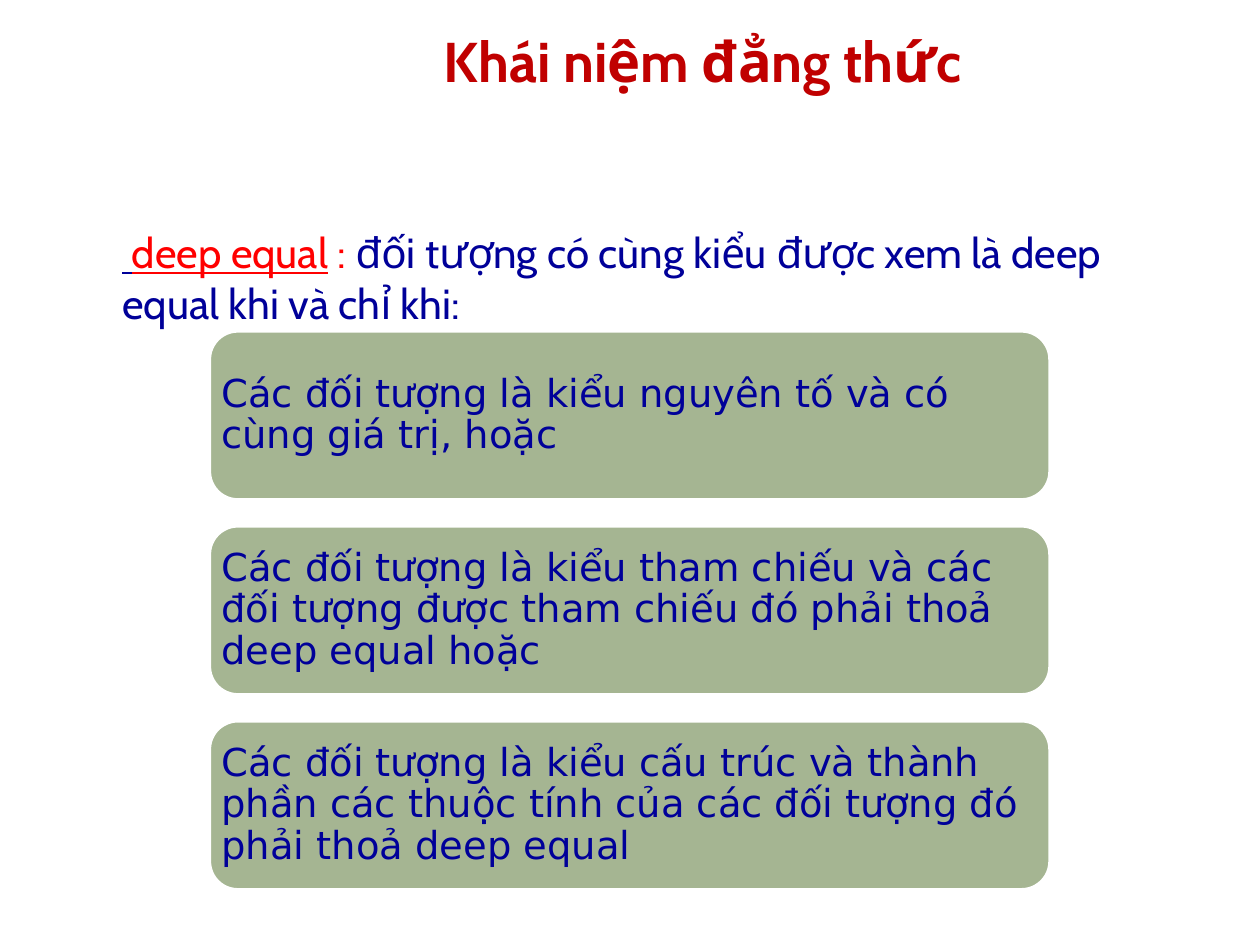
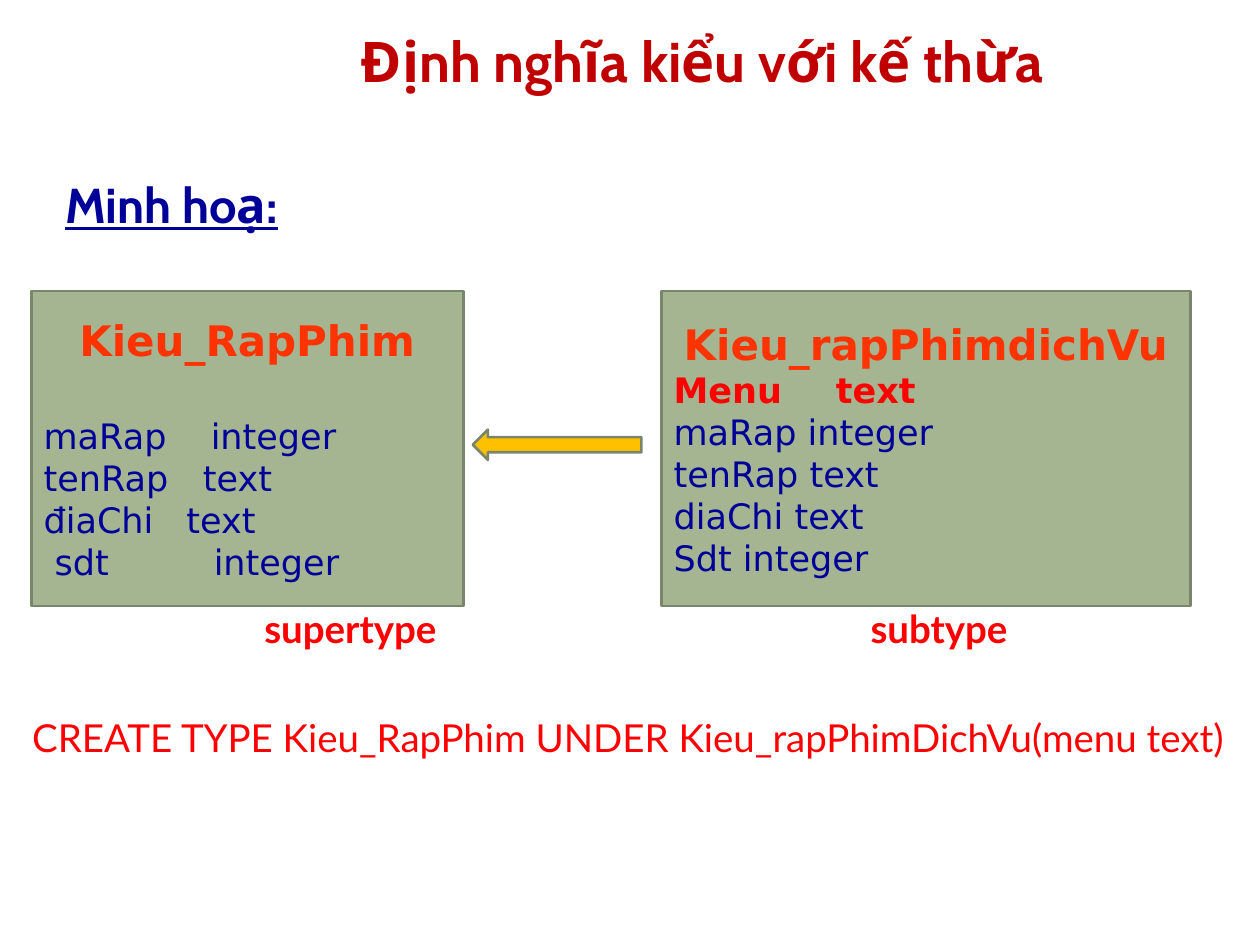
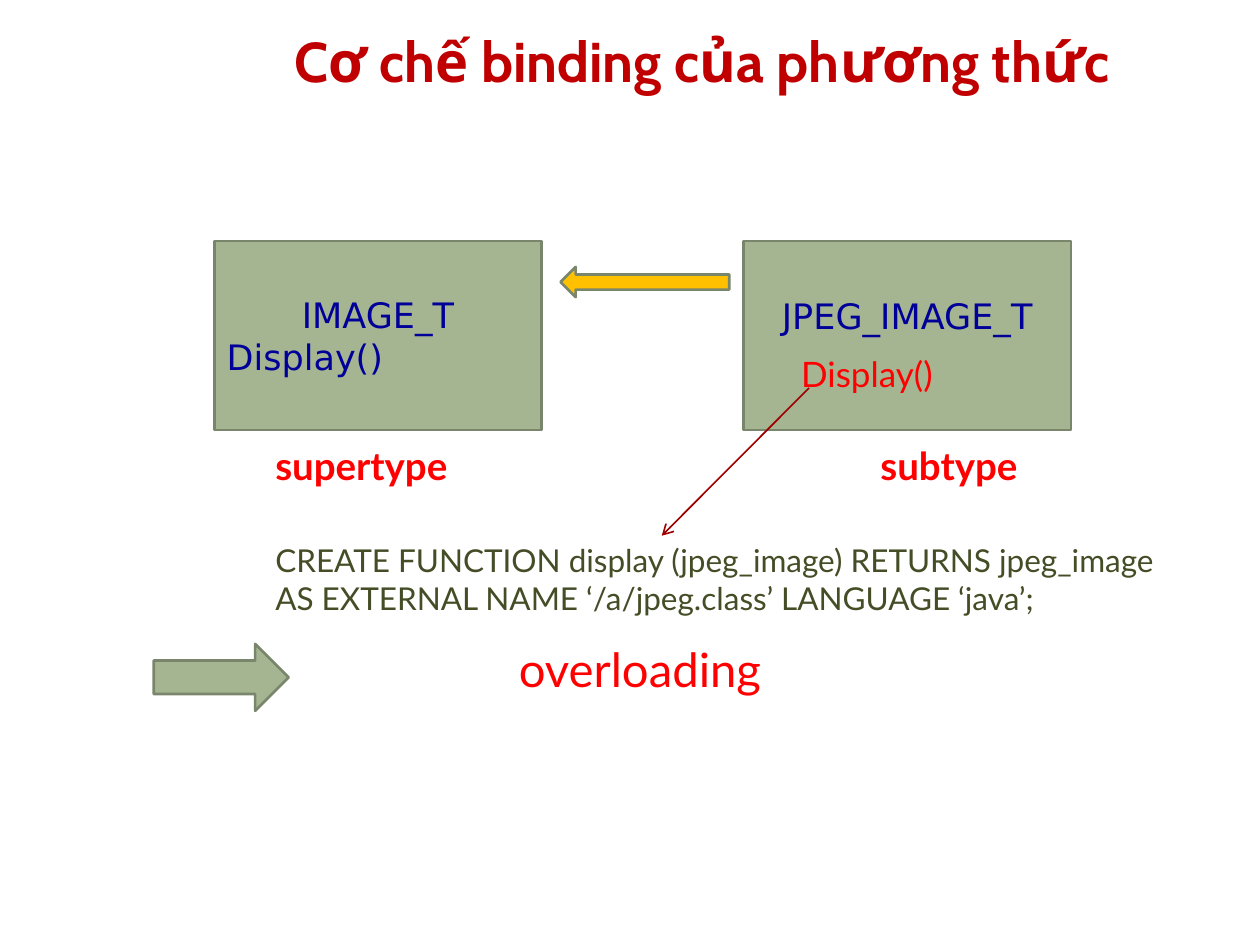
from dataclasses import dataclass

from lxml.etree import SubElement
from pptx import Presentation
from pptx.dml.color import RGBColor
from pptx.enum.shapes import MSO_CONNECTOR, MSO_SHAPE
from pptx.enum.text import MSO_ANCHOR, MSO_AUTO_SIZE, PP_ALIGN
from pptx.oxml.ns import qn
from pptx.util import Cm, Pt


@dataclass(frozen=True)
class Theme:
    heading: str = "Cabin"
    body: str = "DejaVu Sans"
    label: str = "Lato"
    title: str = "C00000"
    navy: str = "000099"
    red: str = "FF0000"
    orange: str = "FF3300"
    olive: str = "444D26"
    white: str = "FFFFFF"
    sage: str = "A5B592"
    sage_edge: str = "7A866C"
    gold: str = "FFC000"
    callout: str = "9E0000"
    title_size: float = 32
    section_size: float = 28
    result_size: float = 27
    large_size: float = 24
    label_size: float = 22
    field_size: float = 20
    code_size: float = 18
    edge_width: float = 1.5
    callout_width: float = 0.94


T = Theme()


def style(name, size, color, bold=False, underline=False):
    return dict(name=name, size=Pt(size), color=color, bold=bold, underline=underline)


TITLE = style(T.heading, T.title_size, T.title, bold=True)
SECTION = style(T.heading, T.section_size, T.navy, bold=True, underline=True)
INTRO = style(T.heading, T.large_size, T.navy)
TERM = {**INTRO, "color": T.red}
CONDITION = style(T.body, T.label_size, T.navy)
TYPE_NAME = style(T.body, T.large_size, T.orange, bold=True)
FIELD = style(T.body, T.field_size, T.navy)
NEW_FIELD = {**FIELD, "color": T.red, "bold": True}
ROLE = style(T.label, T.label_size, T.red, bold=True)
STATEMENT = style(T.label, T.label_size, T.red)
METHOD = style(T.label, T.field_size, T.red)
CODE = style(T.label, T.code_size, T.olive)
RESULT = style(T.label, T.result_size, T.red)


def set_all(obj, values):
    for key, value in values.items():
        setattr(obj, key, value)


def para(*runs, tab=None, **fmt):
    return dict(runs=runs, tab=tab, fmt=fmt)


def write(tf, paras, **frame):
    set_all(tf, frame)
    for i, item in enumerate(paras):
        p = tf.add_paragraph() if i else tf.paragraphs[0]
        set_all(p, {"alignment": PP_ALIGN.LEFT, **item["fmt"]})
        if item["tab"]:
            tabs = SubElement(p._p.get_or_add_pPr(), qn("a:tabLst"))
            SubElement(tabs, qn("a:tab"), pos=str(Cm(item["tab"])), algn="l")
        for text, look in item["runs"]:
            r = p.add_run()
            r.text = text
            set_all(r.font, {k: v for k, v in look.items() if k != "color"})
            r.font.color.rgb = RGBColor.from_string(look["color"])


def add_text(s, at, paras, **frame):
    sp = s.shapes.add_textbox(*map(Cm, at))
    write(sp.text_frame, paras, **{"word_wrap": True, **frame})


def add_label(s, at, *lines):
    add_text(s, at, [para(run) for run in lines],
             word_wrap=False, auto_size=MSO_AUTO_SIZE.SHAPE_TO_FIT_TEXT)


def add_box(s, kind, at, paras=(), fill=T.sage, edge=T.sage_edge, rotation=0, **frame):
    sp = s.shapes.add_shape(kind, *map(Cm, at))
    sp.shadow.inherit = False
    sp.rotation = rotation
    sp.fill.solid()
    sp.fill.fore_color.rgb = RGBColor.from_string(fill)
    sp.line.color.rgb = RGBColor.from_string(edge)
    sp.line.width = Pt(T.edge_width)
    write(sp.text_frame, paras,
          **{"word_wrap": True, "vertical_anchor": MSO_ANCHOR.MIDDLE, **frame})


def add_inherit_arrow(s, left, top):
    add_box(s, MSO_SHAPE.RIGHT_ARROW, (left, top, 3.4, 0.61), fill=T.gold, rotation=180)


def add_roles(s, super_left, sub_left, top):
    add_label(s, (super_left, top, 4.27, 1.19), ("supertype", ROLE))
    add_label(s, (sub_left, top, 3.53, 1.19), ("subtype", ROLE))


def add_callout(s, start, end):
    c = s.shapes.add_connector(MSO_CONNECTOR.STRAIGHT, *map(Cm, start + end))
    c.line.color.rgb = RGBColor.from_string(T.callout)
    c.line.width = Pt(T.callout_width)
    SubElement(c.line._get_or_add_ln(), qn("a:tailEnd"), type="arrow")
    SubElement(c._element.spPr, qn("a:effectLst"))


def add_slide(prs, title):
    s = prs.slides.add_slide(prs.slide_layouts[6])
    add_text(s, (4.45, 0.43, 19.43, 1.57),
             [para((title, TITLE), alignment=PP_ALIGN.CENTER)],
             vertical_anchor=MSO_ANCHOR.MIDDLE)
    return s


def equality_slide(prs):
    s = add_slide(prs, "Khái niệm đẳng thức")
    add_text(s, (2.22, 4.45, 21.91, 12.57), [para(
        (" ", {**INTRO, "underline": True}),
        ("deep equal", {**TERM, "underline": True}),
        (" : ", TERM),
        ("đối tượng có cùng kiểu được xem là deep equal khi và chỉ khi:", INTRO),
        space_before=Pt(4.8))])
    conditions = (
        "Các đối tượng là kiểu nguyên tố và có cùng giá trị, hoặc",
        "Các đối tượng là kiểu tham chiếu và các đối tượng được tham chiếu đó "
        "phải thoả deep equal hoặc",
        "Các đối tượng là kiểu cấu trúc và thành phần các thuộc tính của các "
        "đối tượng đó phải thoả deep equal",
    )
    top, pitch = 6.68, 3.93
    for i, text in enumerate(conditions):
        add_box(s, MSO_SHAPE.ROUNDED_RECTANGLE, (4.23, top + i * pitch, 16.93, 3.39),
                [para((text, CONDITION), line_spacing=0.9)], edge=T.white,
                margin_left=Cm(0.07), margin_right=Cm(0.07))


def inheritance_slide(prs):
    s = add_slide(prs, "Định nghĩa kiểu với kế thừa")
    add_text(s, (1.07, 3.39, 22.86, 12.57),
             [para(("Minh hoạ:", SECTION), space_before=Pt(5.6))])
    fields = (("maRap\tinteger", 3.37), ("tenRap\ttext", 3.21),
              ("điaChi\ttext", 2.88), (" sdt\tinteger", 3.43))
    add_box(s, MSO_SHAPE.RECTANGLE, (0.63, 5.87, 8.71, 6.35),
            [para(("Kieu_RapPhim", TYPE_NAME), alignment=PP_ALIGN.CENTER,
                  space_after=Pt(28))]
            + [para((text, FIELD), tab=tab) for text, tab in fields])
    inherited = ("maRap integer", "tenRap text", "diaChi text", "Sdt integer")
    add_box(s, MSO_SHAPE.RECTANGLE, (13.33, 5.87, 10.67, 6.35),
            [para(("Kieu_rapPhimdichVu", TYPE_NAME), alignment=PP_ALIGN.CENTER),
             para(("Menu\ttext", NEW_FIELD), tab=3.27)]
            + [para((text, FIELD)) for text in inherited])
    add_label(s, (0.4, 14.27, 24.6, 1.19),
              ("CREATE TYPE Kieu_RapPhim UNDER Kieu_rapPhimDichVu(menu text)", STATEMENT))
    add_inherit_arrow(s, 9.53, 8.66)
    add_roles(s, 5.08, 17.3, 12.07)


def binding_slide(prs):
    s = add_slide(prs, "Cơ chế binding của phương thức")
    add_box(s, MSO_SHAPE.RECTANGLE, (4.32, 4.86, 6.6, 3.81),
            [para(("IMAGE_T", FIELD), alignment=PP_ALIGN.CENTER),
             para(("Display()", FIELD))])
    add_box(s, MSO_SHAPE.RECTANGLE, (14.99, 4.86, 6.6, 3.81),
            [para(("JPEG_IMAGE_T", FIELD), alignment=PP_ALIGN.CENTER)],
            margin_bottom=Cm(0.95))
    add_inherit_arrow(s, 11.3, 5.38)
    add_roles(s, 5.3, 17.5, 8.79)
    add_label(s, (15.9, 6.99, 3.33, 1.12), ("Display()", METHOD))
    add_label(s, (5.3, 10.78, 19.41, 1.8),
              ("CREATE FUNCTION display (jpeg_image) RETURNS jpeg_image", CODE),
              ("AS EXTERNAL NAME ‘/a/jpeg.class’ LANGUAGE ‘java’;", CODE))
    add_box(s, MSO_SHAPE.RIGHT_ARROW, (3.1, 12.98, 2.72, 1.35))
    add_label(s, (10.21, 12.78, 5.49, 1.42), ("overloading", RESULT))
    add_callout(s, (16.31, 7.82), (13.34, 10.8))


def main():
    prs = Presentation()
    prs.slide_width, prs.slide_height = Cm(25.4), Cm(19.05)
    equality_slide(prs)
    inheritance_slide(prs)
    binding_slide(prs)
    prs.save("out.pptx")


main()
